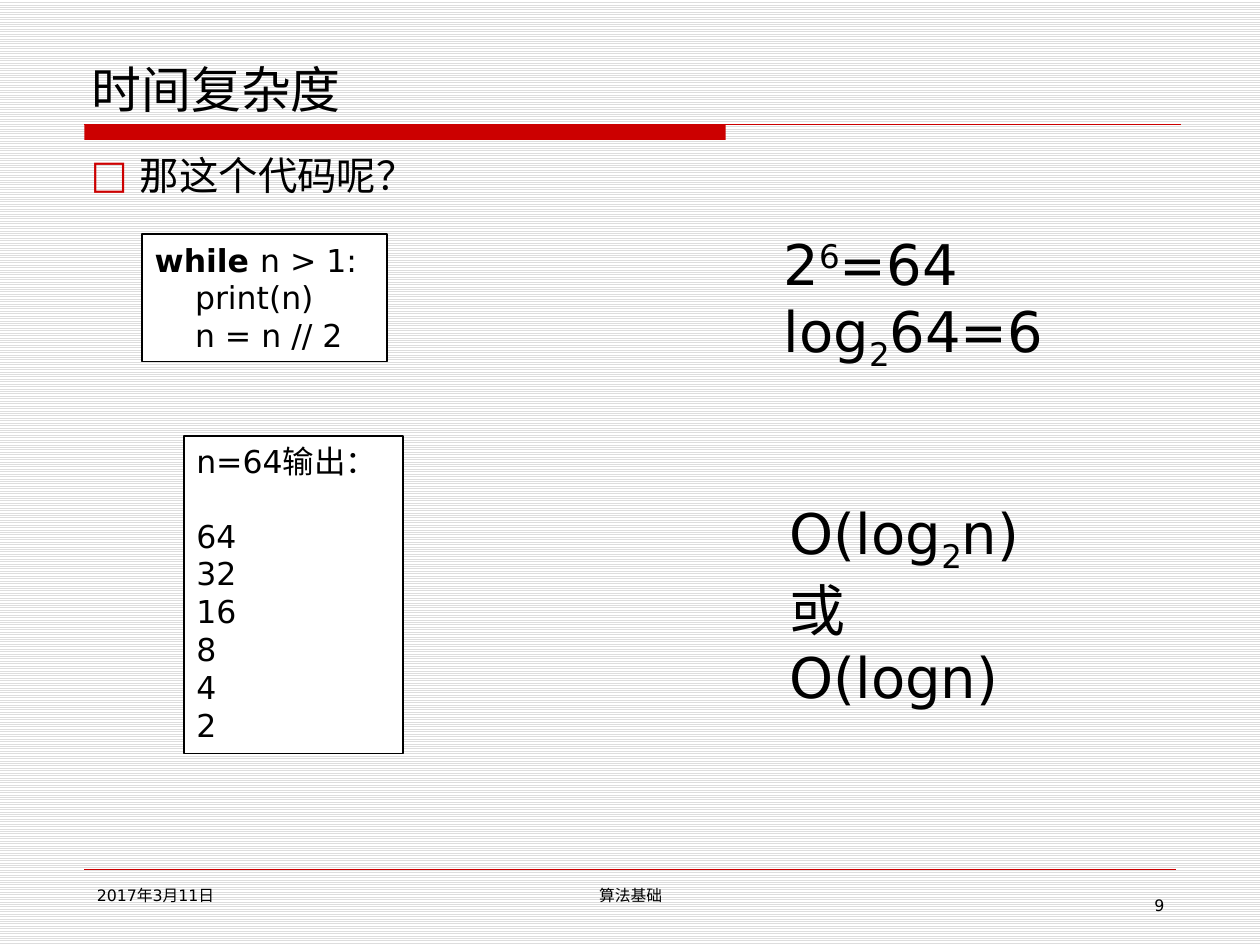
from lxml import etree
from pptx import Presentation
from pptx import util as u
from pptx.dml.color import RGBColor
from pptx.enum import dml, shapes, text
from pptx.oxml.ns import qn

FONT = "DejaVu Sans"
RED, BLACK, WHITE, GRAY = "CC0000", "000000", "FFFFFF", "DDDDDD"
COLUMNS, ROWS = 100, 75
WIDTH, HEIGHT = u.Inches(10), u.Inches(7.5)
LEFT, CENTER, RIGHT = text.PP_ALIGN.LEFT, text.PP_ALIGN.CENTER, text.PP_ALIGN.RIGHT


def color(value):
    return RGBColor.from_string(value)


def place(left, top, width, height):
    column, row = WIDTH / COLUMNS, HEIGHT / ROWS
    return [round(n) for n in (left * column, top * row, width * column, height * row)]


def format_run(run, size, bold=False, baseline=0):
    run.font.size = u.Pt(size)
    run.font.name = FONT
    run.font.bold = bold
    run.font.color.rgb = color(BLACK)
    properties = run.font._element
    properties.set("lang", "zh-CN")
    etree.SubElement(properties, qn("a:ea")).set("typeface", FONT)
    if baseline:
        properties.set("baseline", str(baseline * 1000))


def write(shape, lines, size, align=LEFT, anchor=text.MSO_ANCHOR.TOP, grow=False):
    frame = shape.text_frame
    frame.word_wrap = True
    frame.vertical_anchor = anchor
    if grow:
        frame.auto_size = text.MSO_AUTO_SIZE.SHAPE_TO_FIT_TEXT
    for index, line in enumerate(lines):
        paragraph = frame.paragraphs[0] if index == 0 else frame.add_paragraph()
        paragraph.alignment = align
        for part in [line] if isinstance(line, str) else line:
            words, style = (part, {}) if isinstance(part, str) else part
            run = paragraph.add_run()
            run.text = words
            format_run(run, size, **style)
    return frame.paragraphs


def add_text(slide, box, lines, size, **options):
    return write(slide.shapes.add_textbox(*place(*box)), lines, size, **options)


def add_rectangle(slide, box, fill, line=None):
    shape = slide.shapes.add_shape(shapes.MSO_SHAPE.RECTANGLE, *place(*box))
    shape.shadow.inherit = False
    shape.fill.solid()
    shape.fill.fore_color.rgb = color(fill)
    if line:
        shape.line.color.rgb = color(line)
        shape.line.width = u.Pt(1)
    else:
        shape.line.fill.background()
    return shape


def add_rule(slide, left, top, width, weight):
    x, y, length, _ = place(left, top, width, 0)
    rule = slide.shapes.add_connector(shapes.MSO_CONNECTOR.STRAIGHT, x, y, x + length, y)
    rule.line.color.rgb = color(RED)
    rule.line.width = u.Pt(weight)
    etree.SubElement(rule._element.spPr, qn("a:effectLst"))


def add_heading(slide, box, title):
    left, top, width, height = box
    bottom = top + height
    add_rectangle(slide, (left, bottom, 50.9, 1.2), RED)
    add_rule(slide, left, bottom, width, 0.75)
    add_text(slide, (left - 0.4, top, width + 0.5, height), [title], 28.5,
             anchor=text.MSO_ANCHOR.BOTTOM)


def add_question(slide, box, question):
    paragraph = add_text(slide, box, [question], 22.5)[0]
    paragraph.space_before = u.Pt(4.5)
    properties = paragraph._p.get_or_add_pPr()
    properties.set("marL", str(u.Inches(0.39)))
    properties.set("indent", str(-u.Inches(0.39)))
    bullet_color = etree.SubElement(properties, qn("a:buClr"))
    etree.SubElement(bullet_color, qn("a:srgbClr")).set("val", RED)
    etree.SubElement(properties, qn("a:buFont")).set("typeface", FONT)
    etree.SubElement(properties, qn("a:buChar")).set("char", "□")


def add_code(slide, box):
    lines = [[("while ", {"bold": True}), "n > 1:"], "print(n)", "n = n // 2"]
    paragraphs = write(add_rectangle(slide, box, WHITE, BLACK), lines, 18, grow=True)
    for paragraph in paragraphs[1:]:
        paragraph._p.get_or_add_pPr().set("marL", str(u.Inches(0.32)))


def add_output(slide, box):
    lines = ["n=64输出："] + [str(2 ** power) for power in range(6, 0, -1)]
    paragraphs = write(add_rectangle(slide, box, WHITE, BLACK), lines, 18, grow=True)
    paragraphs[0].space_after = u.Pt(21)


def add_formulas(slide, box, lines):
    add_text(slide, box, lines, 32, grow=True)


def add_footer(slide, box, date, course, number):
    left, top, width, height = box
    add_rule(slide, left, top, width, 0.25)
    add_text(slide, (left, top + 0.8, 21.7, height), [date], 9)
    add_text(slide, (left + 27.5, top + 0.8, 31.7, height), [course], 9, align=CENTER)
    add_text(slide, (left + width - 21.6, top + 1.6, 21.7, height - 0.8), [number], 9,
             align=RIGHT)


def main():
    presentation = Presentation()
    presentation.slide_width, presentation.slide_height = WIDTH, HEIGHT
    slide = presentation.slides.add_slide(presentation.slide_layouts[6])
    background = slide.background.fill
    background.patterned()
    background.pattern = dml.MSO_PATTERN.LIGHT_HORIZONTAL
    background.fore_color.rgb = color(GRAY)
    background.back_color.rgb = color(WHITE)

    superscript, subscript = {"baseline": 30}, {"baseline": -25}
    add_heading(slide, (6.7, 3.3, 87, 6.6), "时间复杂度")
    add_footer(slide, (6.7, 69, 86.6, 3.7), "2017年3月11日", "算法基础", "9")
    add_question(slide, (6.2, 11.5, 87.5, 54.3), "那这个代码呢？")
    add_code(slide, (11.3, 18.6, 19.4, 10.1))
    add_output(slide, (14.6, 34.6, 17.4, 25.2))
    add_formulas(slide, (61.2, 17.7, 23.1, 11.8),
                 [["2", ("6", superscript), "=64"], ["log", ("2", subscript), "64=6"]])
    add_formulas(slide, (61.7, 39.1, 22.6, 17.2),
                 [["O(log", ("2", subscript), "n)"], "或", "O(logn)"])
    presentation.save("out.pptx")


if __name__ == "__main__":
    main()
